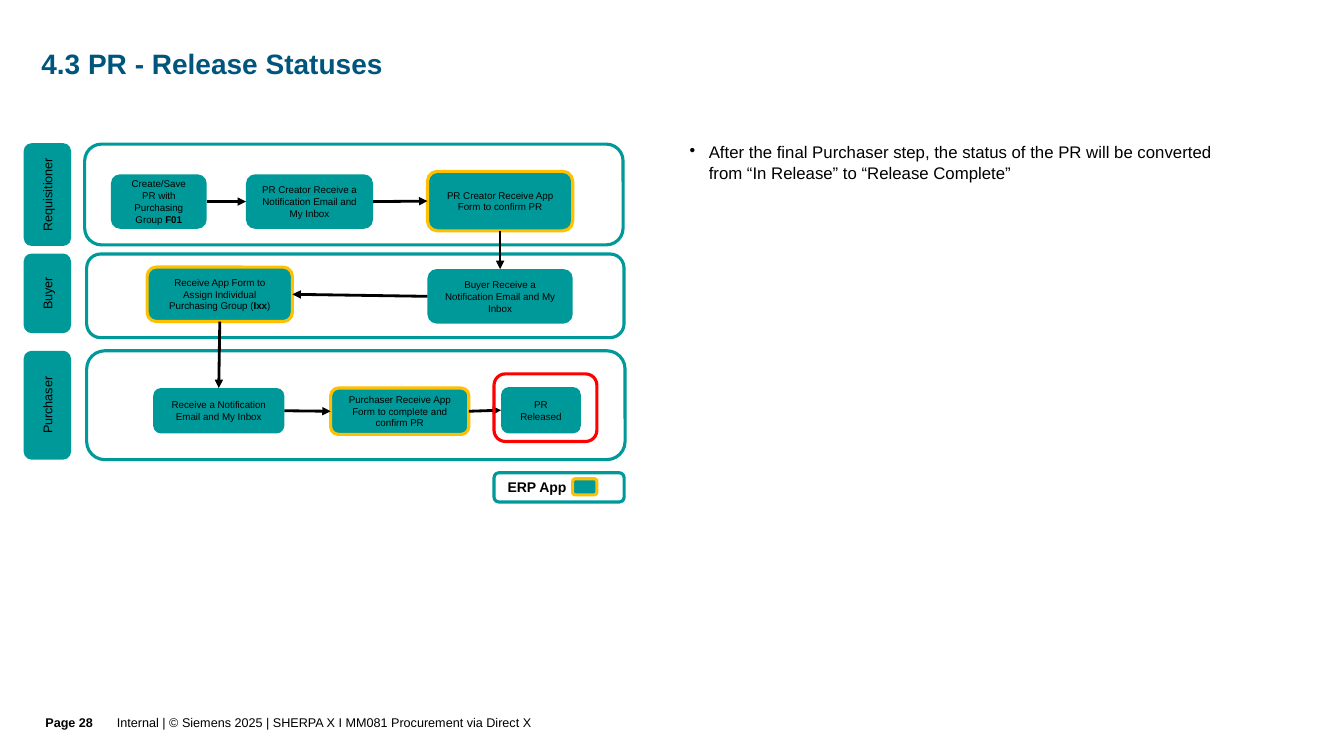
from dataclasses import dataclass

from lxml.etree import SubElement
from pptx import Presentation
from pptx.dml.color import RGBColor
from pptx.enum.shapes import MSO_CONNECTOR as Connector, MSO_SHAPE as Shape
from pptx.enum.text import MSO_ANCHOR as Anchor, PP_ALIGN as Align
from pptx.oxml.ns import qn
from pptx.util import Inches, Pt


@dataclass(frozen=True)
class Theme:
    font: str = "Arial"
    teal: RGBColor = RGBColor(0x00, 0x99, 0x99)
    amber: RGBColor = RGBColor(0xFF, 0xC0, 0x00)
    red: RGBColor = RGBColor(0xFF, 0x00, 0x00)
    blue: RGBColor = RGBColor(0x00, 0x55, 0x7C)
    black: RGBColor = RGBColor(0x00, 0x00, 0x00)
    title: Pt = Pt(20)
    body: Pt = Pt(12)
    legend: Pt = Pt(10)
    label: Pt = Pt(9)
    step: Pt = Pt(7)
    outline: Pt = Pt(2.25)
    arrow: Pt = Pt(2)


THEME = Theme()
PADDING = (0.12, 0.08, 0.12, 0.08)
FOOTER_PADDING = (0, 0, 0, 0.07)
LABEL_CENTER, LABEL_THICKNESS = 0.47, 0.47
TOP, LEFT, BOTTOM, RIGHT = range(4)

# label, label center y, label length, lane box
LANES = [
    ("Requisitioner", 1.93, 1.02, (0.84, 1.43, 5.34, 1)),
    ("Buyer", 2.91, 0.79, (0.86, 2.52, 5.33, 0.83)),
    ("Purchaser", 4.02, 1.08, (0.86, 3.48, 5.34, 1.08)),
]

# name: (box, text runs with every second one bold, is a platform form)
STEPS = {
    "create": ((1.1, 1.73, 0.95, 0.54),
               ["Create/Save PR with Purchasing Group ", "F01"], False),
    "notify creator": ((2.44, 1.73, 1.26, 0.54),
                       ["PR Creator Receive a Notification Email and My Inbox"], False),
    "creator form": ((4.24, 1.7, 1.44, 0.59),
                     ["PR Creator Receive App Form to confirm PR"], True),
    "notify buyer": ((4.24, 2.67, 1.44, 0.54),
                     ["Buyer Receive a Notification Email and My Inbox"], False),
    "buyer form": ((1.46, 2.65, 1.44, 0.54),
                   ["Receive App Form to Assign Individual Purchasing Group (", "Ixx", ")"], True),
    "notify purchaser": ((1.52, 3.85, 1.3, 0.45),
                         ["Receive a Notification Email and My Inbox"], False),
    "purchaser form": ((3.28, 3.85, 1.37, 0.46),
                       ["Purchaser Receive App Form to complete and confirm PR"], True),
    "released": ((4.97, 3.84, 0.79, 0.46), ["PR Released"], False),
}

ARROWS = [
    ("create", RIGHT, "notify creator", LEFT),
    ("notify creator", RIGHT, "creator form", LEFT),
    ("creator form", BOTTOM, "notify buyer", TOP),
    ("notify buyer", LEFT, "buyer form", RIGHT),
    ("buyer form", BOTTOM, "notify purchaser", TOP),
    ("notify purchaser", RIGHT, "purchaser form", LEFT),
    ("purchaser form", RIGHT, "released", LEFT),
]


def write(shape, runs, size, color=THEME.black, bold=False, align=Align.LEFT,
          anchor=Anchor.MIDDLE, padding=PADDING):
    """Fill the shape with one paragraph; every second run is bold."""
    frame = shape.text_frame
    frame.word_wrap = True
    frame.vertical_anchor = anchor
    (frame.margin_left, frame.margin_top,
     frame.margin_right, frame.margin_bottom) = map(Inches, padding)
    paragraph = frame.paragraphs[0]
    paragraph.alignment = align
    for index, text in enumerate(runs):
        run = paragraph.add_run()
        run.text = text
        if index % 2:
            run.font.bold = True
    font = paragraph.font
    font.name, font.size, font.bold = THEME.font, size, bold
    font.color.rgb = color
    return paragraph


def add_text(slide, box, text, size, **style):
    return write(slide.shapes.add_textbox(*map(Inches, box)), [text], size, **style)


def add_box(slide, box, fill=None, line=None, kind=Shape.ROUNDED_RECTANGLE):
    shape = slide.shapes.add_shape(kind, *map(Inches, box))
    shape.shadow.inherit = False
    if fill is None:
        shape.fill.background()
    else:
        shape.fill.solid()
        shape.fill.fore_color.rgb = fill
    if line is None:
        shape.line.fill.background()
    else:
        shape.line.color.rgb = line
        shape.line.width = THEME.outline
    return shape


def add_lane(slide, label, center, length, box):
    add_box(slide, box, line=THEME.teal)
    tab = add_box(slide, (LABEL_CENTER - length / 2, center - LABEL_THICKNESS / 2,
                          length, LABEL_THICKNESS), fill=THEME.teal)
    tab.rotation = 270
    write(tab, [label], THEME.label, align=Align.CENTER)


def add_step(slide, box, runs, is_form):
    shape = add_box(slide, box, THEME.teal, THEME.amber if is_form else None,
                    Shape.FLOWCHART_ALTERNATE_PROCESS)
    write(shape, runs, THEME.step, align=Align.CENTER)
    return shape


def add_arrow(slide, source, source_side, target, target_side):
    arrow = slide.shapes.add_connector(Connector.STRAIGHT, 0, 0, 0, 0)
    arrow.begin_connect(source, source_side)
    arrow.end_connect(target, target_side)
    arrow.line.color.rgb = THEME.black
    arrow.line.width = THEME.arrow
    SubElement(arrow.line._get_or_add_ln(), qn("a:tailEnd"), type="triangle")
    SubElement(arrow._element.spPr, qn("a:effectLst"))


def add_bullet(paragraph):
    properties = paragraph._p.get_or_add_pPr()
    properties.set("marL", str(Inches(0.19)))
    properties.set("indent", str(Inches(-0.19)))
    properties.insert(0, properties.makeelement(qn("a:buChar"), {"char": "•"}))


def add_legend(slide):
    frame = add_box(slide, (4.9, 4.69, 1.29, 0.29), line=THEME.teal)
    write(frame, ["ERP App"], THEME.legend, bold=True)
    add_box(slide, (5.68, 4.75, 0.24, 0.16), THEME.teal, THEME.amber)


def main():
    presentation = Presentation()
    presentation.slide_width, presentation.slide_height = Inches(13.33), Inches(7.5)
    slide = presentation.slides.add_slide(presentation.slide_layouts[6])

    title = add_text(slide, (0.41, 0.5, 10.79, 0.63), "4.3 PR - Release Statuses",
                     THEME.title, color=THEME.blue, bold=True, anchor=Anchor.TOP,
                     padding=(0, 0, 0.35, 0.02))
    title.line_spacing = 0.9
    add_bullet(add_text(
        slide, (6.72, 1.33, 5.77, 4.91),
        "After the final Purchaser step, the status of the PR will be converted "
        "from “In Release” to “Release Complete”", THEME.body, anchor=Anchor.TOP))

    for lane in LANES:
        add_lane(slide, *lane)
    steps = {name: add_step(slide, *step) for name, step in STEPS.items()}
    for source, source_side, target, target_side in ARROWS:
        add_arrow(slide, steps[source], source_side, steps[target], target_side)
    add_legend(slide)
    add_box(slide, (4.9, 3.71, 1.02, 0.67), line=THEME.red)

    add_text(slide, (0.45, 6.9, 0.71, 0.6), "Page 28", THEME.label, bold=True,
             padding=FOOTER_PADDING)
    add_text(slide, (1.16, 6.9, 10.08, 0.6),
             "Internal | © Siemens 2025 | SHERPA X I MM081 Procurement via Direct X",
             THEME.label, padding=FOOTER_PADDING)
    presentation.save("out.pptx")


if __name__ == "__main__":
    main()
